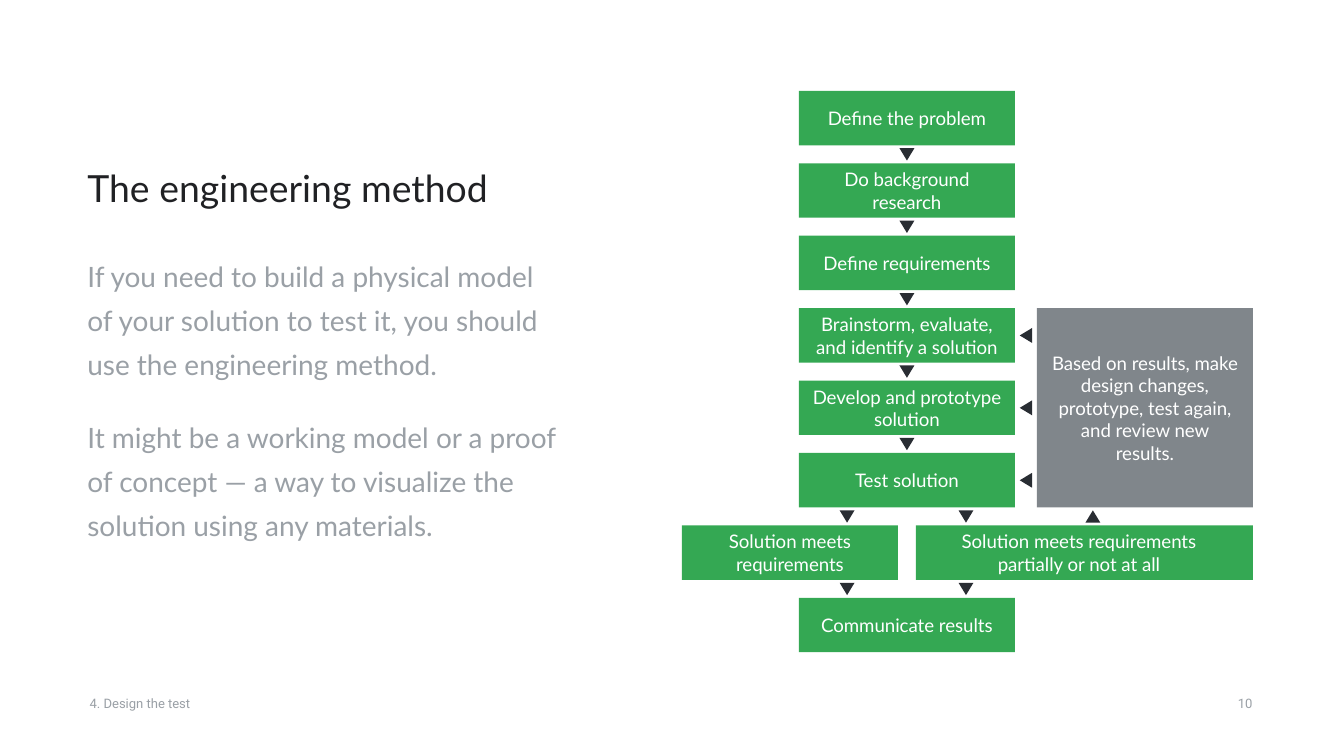
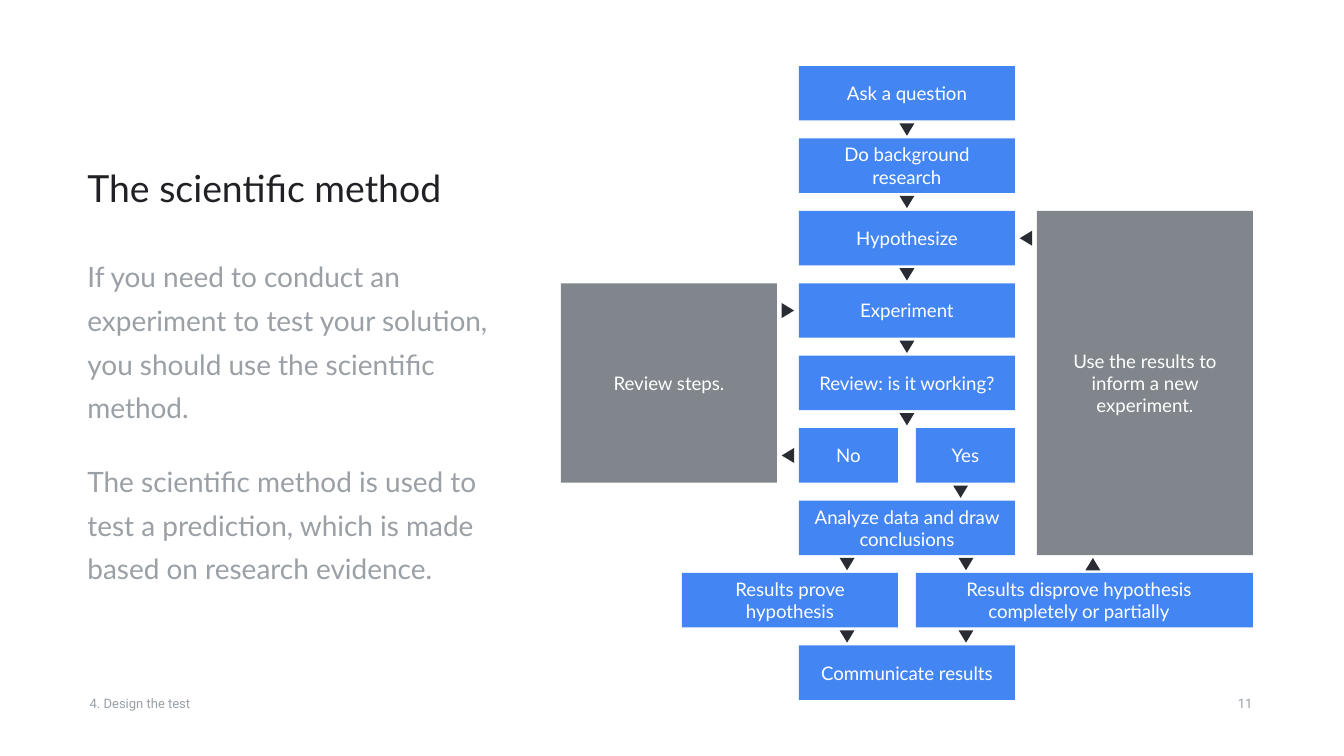
from typing import NamedTuple

import pptx
import pptx.dml.color
import pptx.enum.shapes
import pptx.enum.text
import pptx.oxml.ns
import pptx.util

Pt = pptx.util.Pt
Align = pptx.enum.text.PP_ALIGN
Anchor = pptx.enum.text.MSO_ANCHOR
Preset = pptx.enum.shapes.MSO_SHAPE

# Shared colours and fonts
GREEN, BLUE, GREY = "34A853", "4285F3", "80868B"
ARROW_FILL, INK, MUTED, WHITE = "292D33", "202124", "9AA0A6", "FFFFFF"
TITLE_FONT = {"name": "Lato", "size": Pt(20), "color": INK}
BODY_FONT = {"name": "Lato", "size": Pt(15), "color": MUTED}
STEP_FONT = {"name": "Lato", "size": Pt(10), "color": WHITE}
FOOTER_FONT = {"name": "Roboto", "size": Pt(7), "color": MUTED}
SECTION = "4. Design the test"

# Flowchart grid, in points
ROW_HEIGHT, ROW_GAP = 29.2, 9.6
PITCH = ROW_HEIGHT + ROW_GAP
STEP_WIDTH, COLUMN_GAP = 115.7, 11.8
STEP_LEFT = 428
ARROW_WIDTH, ARROW_HEIGHT = 8, 6.6
DOWN, UP, LEFT, RIGHT = 180, 0, 270, 90


class Column(NamedTuple):
    left: float
    width: float


MAIN = Column(STEP_LEFT, STEP_WIDTH)
LEFT_PANEL = Column(STEP_LEFT - COLUMN_GAP - STEP_WIDTH, STEP_WIDTH)
RIGHT_PANEL = Column(STEP_LEFT + STEP_WIDTH + COLUMN_GAP, STEP_WIDTH)
HALF_WIDTH = (STEP_WIDTH - ROW_GAP) / 2
NO_HALF = Column(STEP_LEFT, HALF_WIDTH)
YES_HALF = Column(STEP_LEFT + HALF_WIDTH + ROW_GAP, HALF_WIDTH)
SUCCESS = Column(YES_HALF.left - ROW_GAP - STEP_WIDTH, STEP_WIDTH)
FAILURE = Column(YES_HALF.left, RIGHT_PANEL.left + STEP_WIDTH - YES_HALF.left)

# Centres of the vertical and sideways arrows
MAIN_X = STEP_LEFT + STEP_WIDTH / 2
SUCCESS_X, FAILURE_X, RETRY_X, YES_X = 453.8, 517.5, 585.5, 514.6
LEFT_GAP_X = STEP_LEFT - COLUMN_GAP / 2
RIGHT_GAP_X = RIGHT_PANEL.left - COLUMN_GAP / 2


class Step(NamedTuple):
    text: str
    row: int
    column: Column = MAIN
    rows: int = 1
    panel: bool = False
    extra_right: float = 0


class Arrow(NamedTuple):
    x: float
    row: int
    direction: int = DOWN


class Method(NamedTuple):
    title: str
    body: list[str]
    body_width: float
    page: int
    color: str
    top: float
    steps: list[Step]
    arrows: list[Arrow]


def rgb(color: str) -> pptx.dml.color.RGBColor:
    return pptx.dml.color.RGBColor.from_string(color)


def set_all(target, values: dict) -> None:
    for name, value in values.items():
        setattr(target, name, value)


def write(frame, paragraphs: list[str], font: dict, layout: dict, **frame_format) -> None:
    """Fill a text frame with equally formatted paragraphs."""
    margins = dict.fromkeys(("margin_left", "margin_top", "margin_right", "margin_bottom"), Pt(7.2))
    set_all(frame, {"word_wrap": True, "auto_size": pptx.enum.text.MSO_AUTO_SIZE.NONE,
                    **margins, **frame_format})
    for index, text in enumerate(paragraphs):
        paragraph = frame.paragraphs[0] if index == 0 else frame.add_paragraph()
        paragraph.text = text
        set_all(paragraph, layout)
        run_font = paragraph.runs[0].font
        set_all(run_font, {key: value for key, value in font.items() if key != "color"})
        run_font.color.rgb = rgb(font["color"])


def place(shape, left: float, top: float, width: float, height: float) -> None:
    set_all(shape, {"left": Pt(left), "top": Pt(top), "width": Pt(width), "height": Pt(height)})


def add_filled(slide, preset, left: float, top: float, width: float, height: float, color: str):
    shape = slide.shapes.add_shape(preset, Pt(left), Pt(top), Pt(width), Pt(height))
    shape.shadow.inherit = False
    shape.fill.solid()
    shape.fill.fore_color.rgb = rgb(color)
    shape.line.fill.background()
    return shape


def add_step(slide, step: Step, method: Method) -> None:
    height = (step.rows - 1) * PITCH + ROW_HEIGHT
    box = add_filled(slide, Preset.RECTANGLE, step.column.left, method.top + step.row * PITCH,
                     step.column.width, height, GREY if step.panel else method.color)
    write(box.text_frame, step.text.split("\n"), STEP_FONT, {"alignment": Align.CENTER},
          vertical_anchor=Anchor.MIDDLE, margin_top=0, margin_bottom=0,
          margin_right=Pt(7.2 + step.extra_right))


def add_arrow(slide, arrow: Arrow, top: float) -> None:
    """Centre an arrow beside its row, or in the gap below it."""
    offset = ROW_HEIGHT / 2 if arrow.direction in (LEFT, RIGHT) else ROW_HEIGHT + ROW_GAP / 2
    y = top + arrow.row * PITCH + offset
    triangle = add_filled(slide, Preset.ISOSCELES_TRIANGLE, arrow.x - ARROW_WIDTH / 2,
                          y - ARROW_HEIGHT / 2, ARROW_WIDTH, ARROW_HEIGHT, ARROW_FILL)
    triangle.rotation = arrow.direction


def add_footer(slide, text: str, left: float, width: float, alignment) -> None:
    footer = slide.shapes.add_textbox(Pt(left), Pt(361.5), Pt(width), Pt(31))
    write(footer.text_frame, [text], FOOTER_FONT, {"alignment": alignment},
          vertical_anchor=Anchor.MIDDLE)


def add_heading_and_body(slide, method: Method) -> None:
    title, body = slide.shapes.title, slide.placeholders[1]
    place(title, 39.6, 76.3, 298, 36.7)
    write(title.text_frame, [method.title], TITLE_FONT,
          {"alignment": Align.LEFT, "line_spacing": 1.2}, vertical_anchor=Anchor.TOP)
    place(body, 39.6, 126.7, method.body_width, 218.2)
    write(body.text_frame, method.body, BODY_FONT,
          {"alignment": Align.LEFT, "line_spacing": 1.3, "space_before": Pt(0)},
          vertical_anchor=Anchor.TOP)
    for index, paragraph in enumerate(body.text_frame.paragraphs):
        properties = paragraph._p.get_or_add_pPr()
        properties.set("marL", "0")
        properties.set("indent", "0")
        properties.append(pptx.oxml.xmlchemy.OxmlElement("a:buNone"))
        if index:
            set_all(paragraph, {"space_before": Pt(16), "space_after": Pt(16)})


def add_method(deck, method: Method) -> None:
    slide = deck.slides.add_slide(deck.slide_layouts[1])
    add_heading_and_body(slide, method)
    for step in method.steps:
        add_step(slide, step, method)
    for arrow in method.arrows:
        add_arrow(slide, arrow, method.top)
    add_footer(slide, SECTION, 41, 208, Align.LEFT)
    add_footer(slide, str(method.page), 632, 46, Align.RIGHT)


def outcome_steps(row: int, success: str, failure: str) -> list[Step]:
    """Both outcomes side by side, then the closing step."""
    return [Step(success, row, SUCCESS), Step(failure, row, FAILURE, extra_right=5.8),
            Step("Communicate results", row + 1)]


def outcome_arrows(row: int) -> list[Arrow]:
    """Arrows into and out of the outcome row."""
    return [Arrow(x, r) for r in (row - 1, row) for x in (SUCCESS_X, FAILURE_X)] + [
        Arrow(RETRY_X, row - 1, UP)]


# Slide content
ENGINEERING_STEPS = [
    "Define the problem", "Do background\nresearch", "Define requirements",
    "Brainstorm, evaluate, and identify a solution", "Develop and prototype solution",
    "Test solution",
]
SCIENCE_STEPS = [
    "Ask a question", "Do background\nresearch", "Hypothesize", "Experiment",
    "Review: is it working?",
]
METHODS = [
    Method(
        "The engineering method",
        ["If you need to build a physical model of your solution to test it, you should "
         "use the engineering method.",
         "It might be a working model or a proof of concept — a way to visualize the "
         "solution using any materials."],
        268.6, 10, GREEN, 48.7,
        [Step(text, row) for row, text in enumerate(ENGINEERING_STEPS)]
        + outcome_steps(6, "Solution meets requirements",
                        "Solution meets requirements partially or not at all")
        + [Step("Based on results, make design changes, prototype, test again, "
                "and review new results.", 3, RIGHT_PANEL, 3, True)],
        [Arrow(MAIN_X, row) for row in range(5)] + outcome_arrows(6)
        + [Arrow(RIGHT_GAP_X, row, LEFT) for row in (3, 4, 5)],
    ),
    Method(
        "The scientific method",
        ["If you need to conduct an experiment to test your solution, you should use "
         "the scientific method.",
         "The scientific method is used to test a prediction, which is made based on "
         "research evidence."],
        232.6, 11, BLUE, 35.4,
        [Step(text, row) for row, text in enumerate(SCIENCE_STEPS)]
        + [Step("No", 5, NO_HALF), Step("Yes", 5, YES_HALF),
           Step("Analyze data and draw conclusions", 6)]
        + outcome_steps(7, "Results prove hypothesis",
                        "Results disprove hypothesis completely or partially")
        + [Step("Use the results to inform a new experiment.", 2, RIGHT_PANEL, 5, True),
           Step("Review steps.", 3, LEFT_PANEL, 3, True)],
        [Arrow(MAIN_X, row) for row in range(5)] + outcome_arrows(7)
        + [Arrow(YES_X, 5), Arrow(RIGHT_GAP_X, 2, LEFT),
           Arrow(LEFT_GAP_X, 5, LEFT), Arrow(LEFT_GAP_X, 3, RIGHT)],
    ),
]


def main() -> None:
    deck = pptx.Presentation()
    set_all(deck, {"slide_width": Pt(720), "slide_height": Pt(405)})
    for method in METHODS:
        add_method(deck, method)
    deck.save("out.pptx")


if __name__ == "__main__":
    main()
